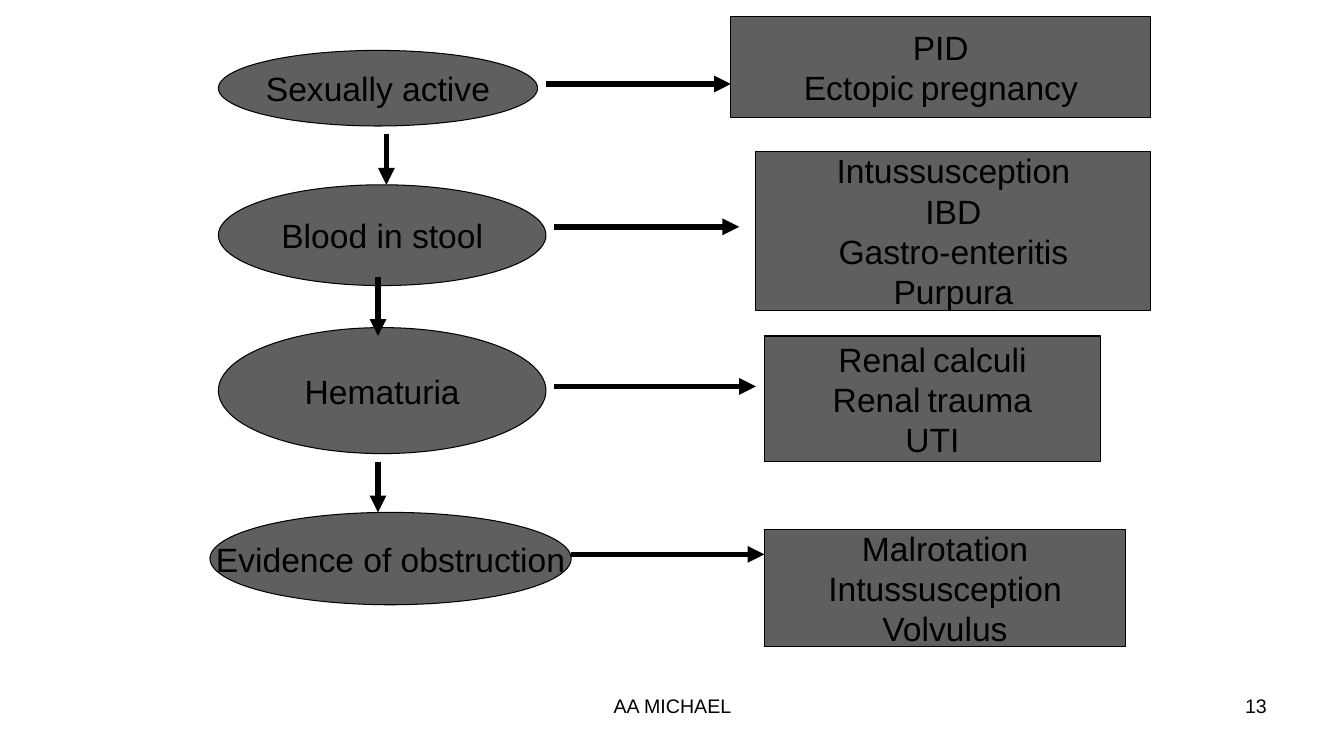
"""Build a flowchart slide that leads from clinical findings to likely diagnoses."""
import pptx
import pptx.dml.color
import pptx.enum.shapes
import pptx.enum.text
import pptx.oxml
import pptx.oxml.ns
import pptx.util

PX = 9525
BLACK = pptx.dml.color.RGBColor(0x00, 0x00, 0x00)
GREY = pptx.dml.color.RGBColor(0x5F, 0x5F, 0x5F)
ALIGN = pptx.enum.text.PP_ALIGN
SHAPE = pptx.enum.shapes.MSO_SHAPE


def write_lines(text_frame, lines, size, alignment, space_size):
    """Write one paragraph per line, with word gaps set in their own size."""
    for index, line in enumerate(lines):
        paragraph = text_frame.paragraphs[0] if index == 0 else text_frame.add_paragraph()
        paragraph.alignment = alignment
        pieces = [line] if space_size == size else line.replace(" ", "| |").split("|")
        for piece in pieces:
            run = paragraph.add_run()
            run.text = piece
            font_size = space_size if piece == " " else size
            for name, value in {"name": "Arial", "size": pptx.util.Pt(font_size)}.items():
                setattr(run.font, name, value)
            run.font.color.rgb = BLACK


presentation = pptx.Presentation()
presentation.slide_width = 1280 * PX
presentation.slide_height = 720 * PX
slide = presentation.slides.add_slide(presentation.slide_layouts[6])

footers = [
    ("13", (918, 656, 298, 50), ALIGN.RIGHT),
    ("AA MICHAEL", (438, 656, 405, 50), ALIGN.CENTER),
]
for text, bounds, alignment in footers:
    text_box = slide.shapes.add_textbox(*(length * PX for length in bounds))
    text_box.text_frame.word_wrap = True
    write_lines(text_box.text_frame, [text], 14, alignment, 14)

arrows = [
    (368, 128, 368, 176),
    (360, 264, 360, 320),
    (360, 440, 360, 488),
    (520, 80, 696, 80),
    (528, 216, 704, 216),
    (528, 368, 720, 368),
    (544, 528, 728, 528),
]
findings = [
    (["Sexually active"], (208, 48, 304, 72)),
    (["Blood in stool"], (208, 176, 312, 96)),
    (["Hematuria"], (208, 312, 312, 120)),
    (["Evidence of obstruction"], (200, 488, 344, 88)),
]
diagnoses = [
    (["PID", "Ectopic pregnancy"], (696, 16, 400, 96)),
    (["Intussusception", "IBD", "Gastro-enteritis", "Purpura"], (720, 144, 376, 152)),
    (["Renal calculi", "Renal trauma", "UTI"], (728, 320, 320, 120)),
    (["Malrotation", "Intussusception", "Volvulus"], (728, 504, 344, 112)),
]

for kind, nodes, space_size in [(SHAPE.OVAL, findings, 24), (SHAPE.RECTANGLE, diagnoses, 18)]:
    for lines, bounds in nodes:
        shape = slide.shapes.add_shape(kind, *(length * PX for length in bounds))
        shape.shadow.inherit = False
        shape.fill.solid()
        shape.fill.fore_color.rgb = GREY
        shape.line.color.rgb = BLACK
        shape.line.width = pptx.util.Pt(0.75)
        frame_format = {
            "word_wrap": False,
            "vertical_anchor": pptx.enum.text.MSO_ANCHOR.MIDDLE,
        }
        for name, value in frame_format.items():
            setattr(shape.text_frame, name, value)
        write_lines(shape.text_frame, lines, 24, ALIGN.CENTER, space_size)

    if kind == SHAPE.OVAL:
        for ends in arrows:
            arrow = slide.shapes.add_connector(
                pptx.enum.shapes.MSO_CONNECTOR.STRAIGHT, *(length * PX for length in ends)
            )
            arrow.line.color.rgb = BLACK
            arrow.line.width = pptx.util.Pt(4)
            head = pptx.oxml.parse_xml(
                f'<a:tailEnd {pptx.oxml.ns.nsdecls("a")} type="triangle"/>'
            )
            arrow.line._get_or_add_ln().append(head)
            effects = pptx.oxml.parse_xml(f'<a:effectLst {pptx.oxml.ns.nsdecls("a")}/>')
            arrow._element.spPr.append(effects)

presentation.save("out.pptx")
